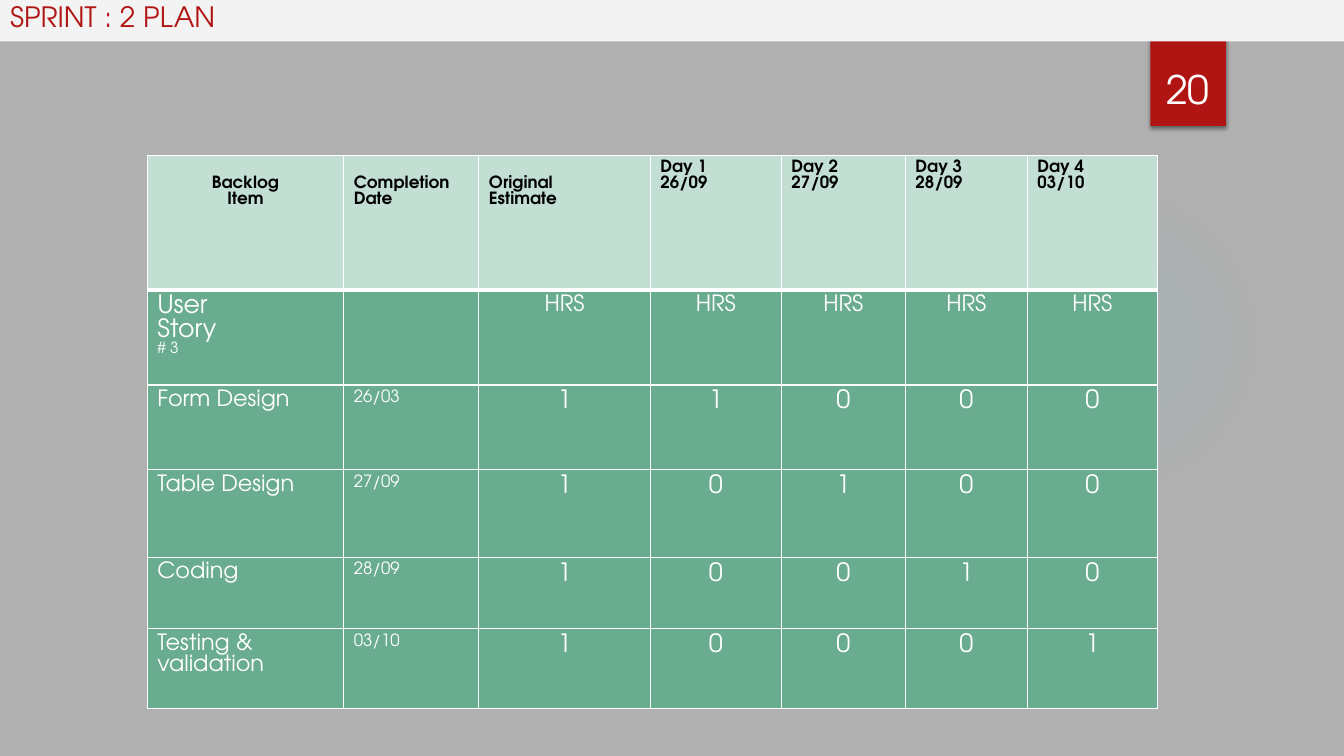
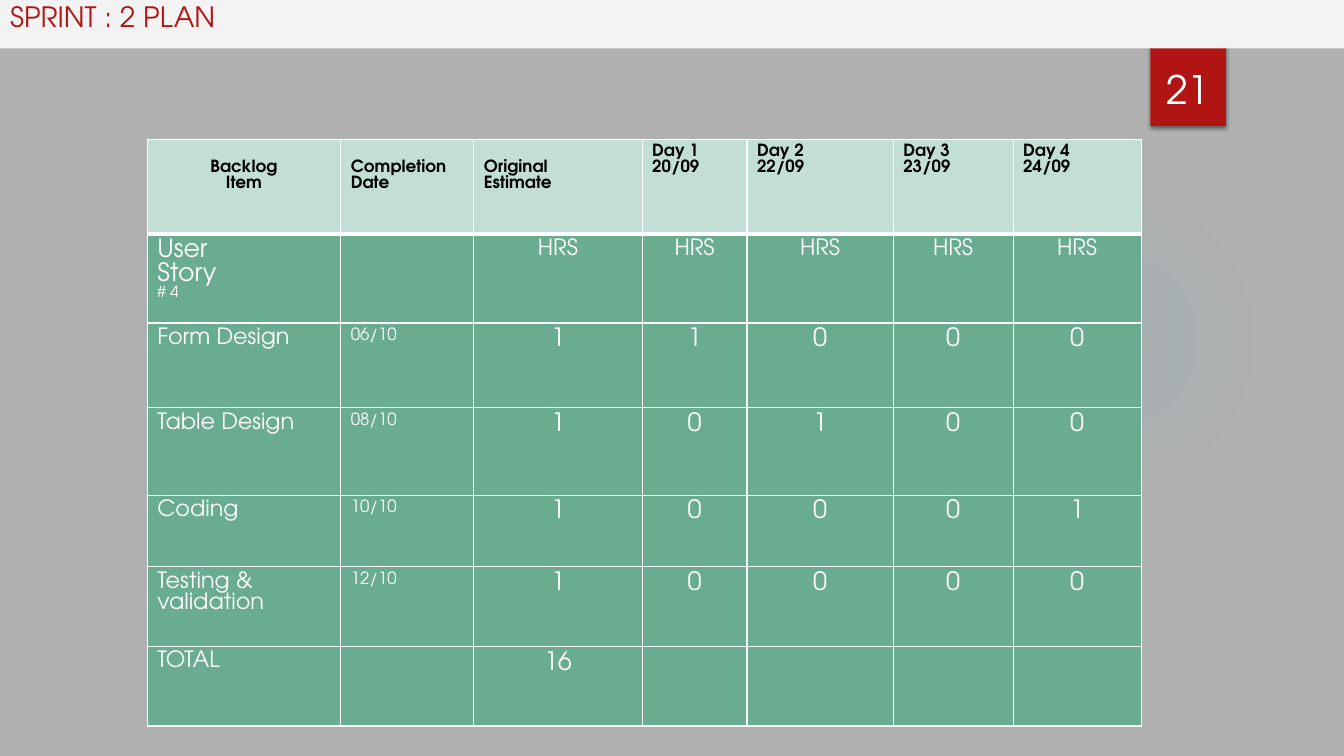
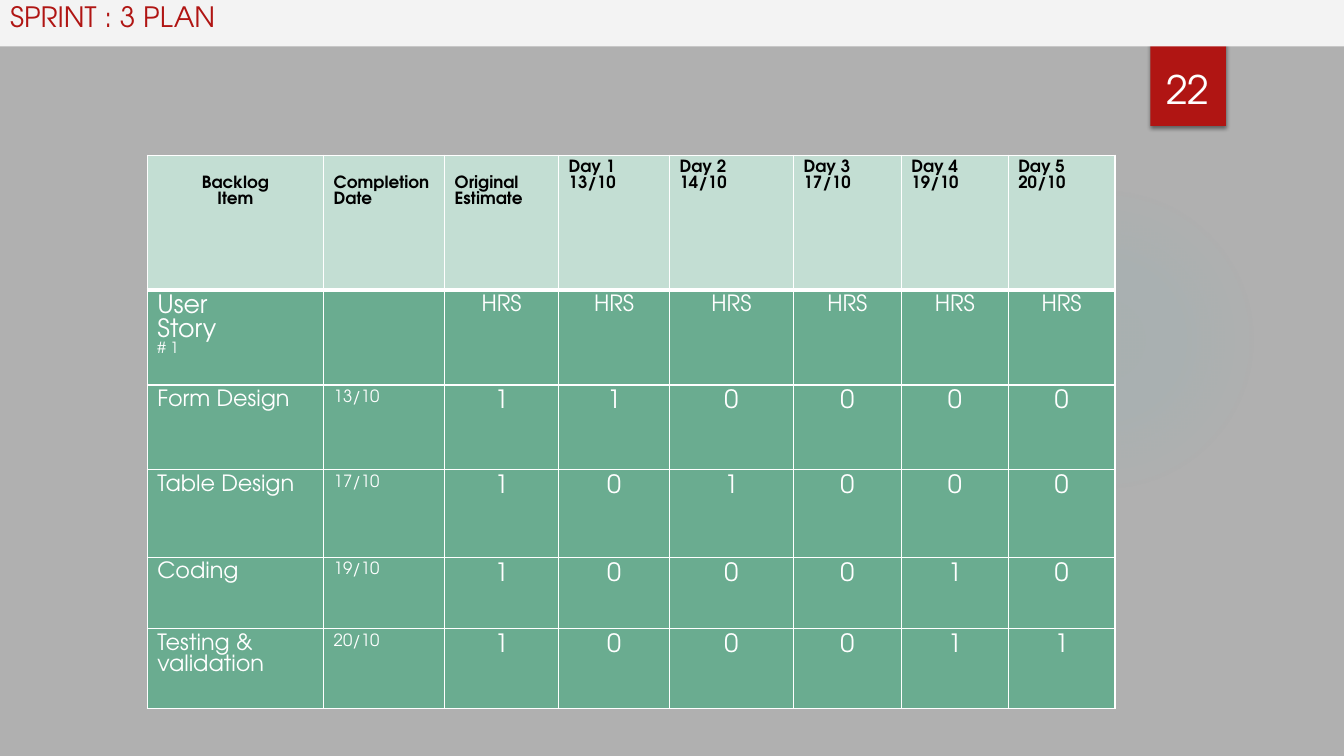
from pptx import Presentation
from pptx.dml.color import RGBColor
from pptx.enum.shapes import MSO_SHAPE
from pptx.enum.text import MSO_ANCHOR, MSO_AUTO_SIZE, PP_ALIGN
from pptx.oxml import parse_xml
from pptx.oxml.ns import nsdecls
from pptx.util import Inches, Pt

LEFT, CENTER = PP_ALIGN.LEFT, PP_ALIGN.CENTER
TOP, BOTTOM = MSO_ANCHOR.TOP, MSO_ANCHOR.BOTTOM
NO_AUTOFIT = MSO_AUTO_SIZE.NONE
OVAL, RECTANGLE = MSO_SHAPE.OVAL, MSO_SHAPE.RECTANGLE

FONT = "TeX Gyre Adventor"
GRAY = RGBColor(0xB0, 0xB0, 0xB0)
RED = RGBColor(0xB0, 0x15, 0x13)
PALE = RGBColor(0xF3, 0xF3, 0xF3)
MINT = RGBColor(0xC3, 0xDE, 0xD3)
GREEN = RGBColor(0x6A, 0xAC, 0x90)
TEAL = RGBColor(0x50, 0xB9, 0xC1)
WHITE = RGBColor(0xFF, 0xFF, 0xFF)
BLACK = RGBColor(0, 0, 0)

TABLE_LEFT = 1.46
TASK_HEIGHTS = [0.84, 0.87, 0.71, 0.79]
HEADER_DROP = 0.21  # top inset that sets the first three headings one line lower

SPRINTS = [
    {
        "title": "SPRINT : 2 PLAN", "number": 20, "band": 0.46, "top": 1.54,
        "columns": [1.95, 1.34, 1.7, 1.3, 1.23, 1.21, 1.29],
        "rows": [1.34, 0.94] + TASK_HEIGHTS,
        "days": ["26/09", "27/09", "28/09", "03/10"],
        "story": "# 3",
        "tasks": [
            ("Form Design", "26/03", 1, 1, 0, 0, 0),
            ("Table Design", "27/09", 1, 0, 1, 0, 0),
            ("Coding", "28/09", 1, 0, 0, 1, 0),
            ("Testing & validation", "03/10", 1, 0, 0, 0, 1),
        ],
    },
    {
        "title": "SPRINT : 2 PLAN", "number": 21, "band": 0.53, "top": 1.38,
        "columns": [1.92, 1.32, 1.67, 1.04, 1.45, 1.19, 1.27],
        "rows": [0.94, 0.74] + TASK_HEIGHTS + [0.79],
        "days": ["20/09", "22/09", "23/09", "24/09"],
        "story": "# 4",
        "tasks": [
            ("Form Design", "06/10", 1, 1, 0, 0, 0),
            ("Table Design", "08/10", 1, 0, 1, 0, 0),
            ("Coding", "10/10", 1, 0, 0, 0, 1),
            ("Testing & validation", "12/10", 1, 0, 0, 0, 0),
            ("TOTAL", "", 16, "", "", "", ""),
        ],
    },
    {
        "title": "SPRINT : 3 PLAN", "number": 22, "band": 0.51, "top": 1.54,
        "columns": [1.75, 1.2, 1.13, 1.1, 1.23, 1.07, 1.06, 1.06],
        "rows": [1.34, 0.94] + TASK_HEIGHTS,
        "days": ["13/10", "14/10", "17/10", "19/10", "20/10"],
        "story": "# 1",
        "tasks": [
            ("Form Design", "13/10", 1, 1, 0, 0, 0, 0),
            ("Table Design", "17/10", 1, 0, 1, 0, 0, 0),
            ("Coding", "19/10", 1, 0, 0, 0, 1, 0),
            ("Testing & validation", "20/10", 1, 0, 0, 0, 1, 1),
        ],
    },
]


def place(box, left, top, width, height):
    """Set the position and size of a shape, in inches."""
    box.left, box.top = Inches(left), Inches(top)
    box.width, box.height = Inches(width), Inches(height)


def write(frame, lines, color, align=LEFT, bold=False):
    """Write (text, size) lines, one paragraph each."""
    for index, (text, size) in enumerate(lines):
        para = frame.add_paragraph() if index else frame.paragraphs[0]
        para.alignment = align
        para.line_spacing = 1.0
        span = para.add_run()
        span.text = text
        span.font.name, span.font.size = FONT, Pt(size)
        span.font.color.rgb, span.font.bold = color, bold


def decorate(layout, page):
    """Give the layout its background, soft glow and red number tab."""
    layout.background.fill.solid()
    layout.background.fill.fore_color.rgb = GRAY

    glow = page.shapes.add_shape(
        OVAL, Inches(9.41), Inches(1.83), Inches(3.08), Inches(3.08))
    glow.shadow.inherit = False
    glow.line.fill.background()
    stops = "".join(
        f'<a:gs pos="{position * 1000}"><a:srgbClr val="{TEAL}">'
        f'<a:alpha val="{alpha * 1000}"/></a:srgbClr></a:gs>'
        for position, alpha in [(0, 7), (36, 6), (69, 0)])
    glow.element.spPr.insert(2, parse_xml(
        f'<a:gradFill {nsdecls("a")}><a:gsLst>{stops}</a:gsLst><a:path path="circle">'
        '<a:fillToRect l="50000" t="50000" r="50000" b="50000"/></a:path></a:gradFill>'))

    tab = page.shapes.add_shape(
        RECTANGLE, Inches(11.41), 0, Inches(0.75), Inches(1.25))
    tab.fill.solid()
    tab.fill.fore_color.rgb = RED
    tab.line.fill.background()
    tab.element.spPr.append(parse_xml(
        f'<a:effectLst {nsdecls("a")}><a:outerShdw blurRad="{Pt(3)}" dist="{Pt(2)}" '
        f'dir="5400000" rotWithShape="0"><a:srgbClr val="{BLACK}"><a:alpha val="45000"/>'
        '</a:srgbClr></a:outerShdw></a:effectLst>'))

    for shape in (glow, tab):
        layout.shapes.element.append(shape.element)


def add_heading(page, title, number, band):
    """Fill the title band and the page number."""
    box = page.shapes.title
    place(box, 0, -0.05, 13.33, band)
    box.fill.solid()
    box.fill.fore_color.rgb = PALE
    box.text_frame.auto_size = NO_AUTOFIT
    box.text_frame.vertical_anchor = TOP
    box.text_frame.margin_top = Inches(0.04)
    write(box.text_frame, [(title, 20)], RED)

    label = page.shapes.add_textbox(
        Inches(11.32), Inches(0.32), Inches(0.92), Inches(0.84))
    label.text_frame.word_wrap = True
    label.text_frame.vertical_anchor = BOTTOM
    write(label.text_frame, [(str(number), 28)], WHITE, CENTER)


def style_cell(cell, fill, top=1, bottom=1):
    """Fill a cell and draw its white borders, widths in points."""
    cell.fill.solid()
    cell.fill.fore_color.rgb = fill
    borders = [("L", 1), ("R", 1), ("T", top), ("B", bottom)]
    for index, (side, width) in enumerate(borders):
        cell._tc.get_or_add_tcPr().insert(index, parse_xml(
            f'<a:ln{side} {nsdecls("a")} w="{Pt(width)}"><a:solidFill>'
            f'<a:srgbClr val="{WHITE}"/></a:solidFill></a:ln{side}>'))


def add_plan(page, plan):
    """Build the sprint table: headings, story row and one row per task."""
    columns, rows = plan["columns"], plan["rows"]
    table = page.shapes.add_table(
        len(rows), len(columns), Inches(TABLE_LEFT), Inches(plan["top"]),
        Inches(sum(columns)), Inches(sum(rows))).table
    for column, width in zip(table.columns, columns):
        column.width = Inches(width)
    for row, height in zip(table.rows, rows):
        row.height = Inches(height)

    headings = [["Backlog", "Item"], ["Completion Date"], ["Original", "Estimate"]]
    headings += [[f"Day {day}", date] for day, date in enumerate(plan["days"], 1)]
    for index, lines in enumerate(headings):
        cell = table.cell(0, index)
        style_cell(cell, MINT, bottom=3)
        if index < 3:
            cell.margin_top = Inches(HEADER_DROP)
        write(cell.text_frame, [(line, 12) for line in lines], BLACK,
              LEFT if index else CENTER, True)

    story = [("User", 18), ("Story", 18), (plan["story"], 11)]
    body = [[story, []] + [[("HRS", 16)]] * (len(columns) - 2)]
    for task in plan["tasks"]:
        sizes = [16, 12] + [18] * (len(task) - 2)
        body.append([[(str(value), size)] if value != "" else []
                     for value, size in zip(task, sizes)])
    for row, entries in enumerate(body, 1):
        for column, lines in enumerate(entries):
            cell = table.cell(row, column)
            style_cell(cell, GREEN, top=3 if row == 1 else 1)
            write(cell.text_frame, lines, WHITE, CENTER if column > 1 else LEFT)


def build():
    """Build and save the deck."""
    deck = Presentation()
    deck.slide_width, deck.slide_height = Inches(13.33), Inches(7.5)
    layout = deck.slide_layouts[5]
    pages = [deck.slides.add_slide(layout) for _ in SPRINTS]
    decorate(layout, pages[0])
    for page, plan in zip(pages, SPRINTS):
        add_heading(page, plan["title"], plan["number"], plan["band"])
        add_plan(page, plan)
    deck.save("out.pptx")


build()
